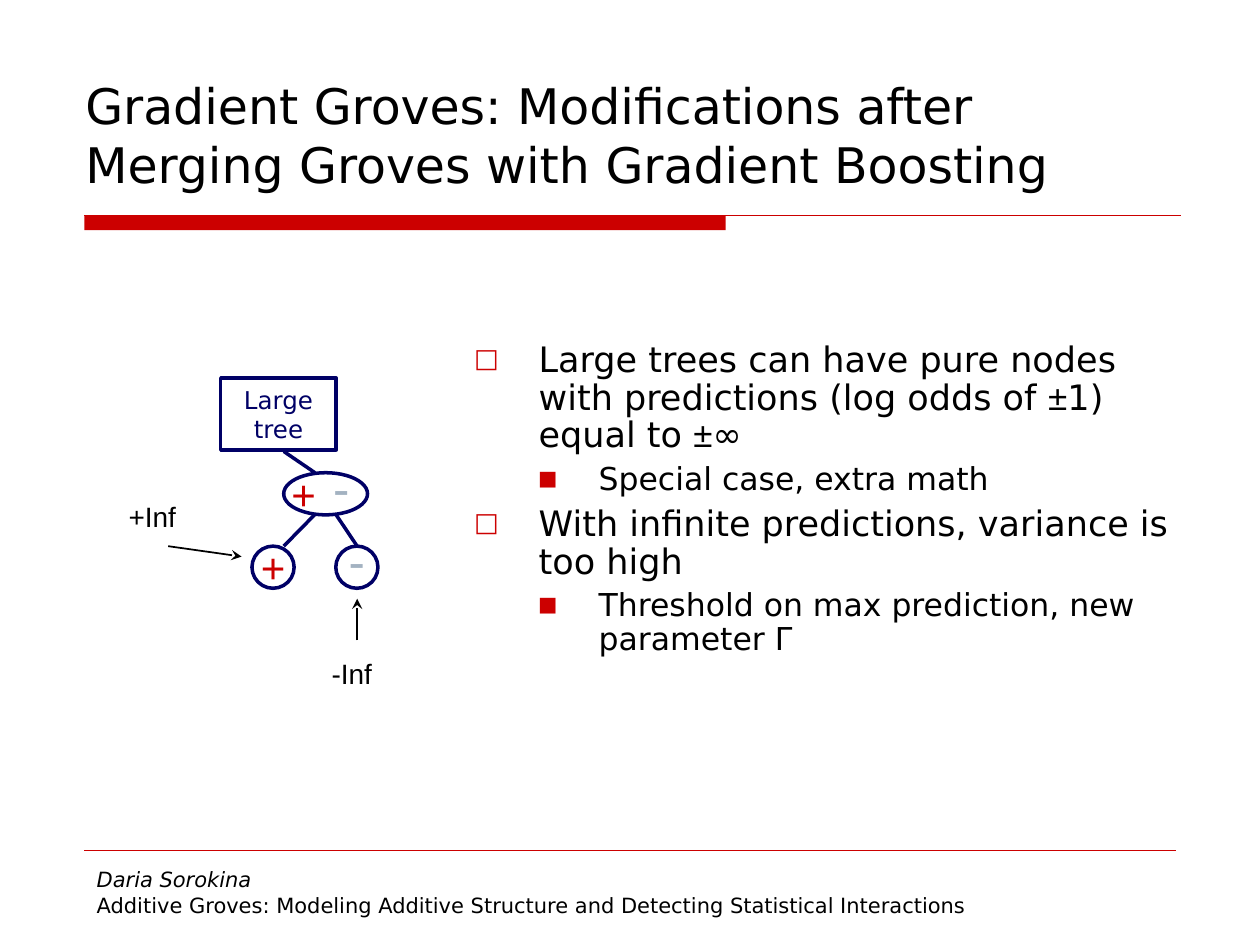
import pptx
import pptx.util
import pptx.dml.color
import pptx.enum.shapes
import pptx.enum.text
import pptx.oxml.ns
from lxml import etree

Cm, Pt = pptx.util.Cm, pptx.util.Pt
RGBColor = pptx.dml.color.RGBColor
SHAPE = pptx.enum.shapes.MSO_SHAPE
STRAIGHT = pptx.enum.shapes.MSO_CONNECTOR.STRAIGHT
ANCHOR = pptx.enum.text.MSO_ANCHOR
ALIGN = pptx.enum.text.PP_ALIGN
qn = pptx.oxml.ns.qn

RED = RGBColor(0xCC, 0x00, 0x00)
NAVY = RGBColor(0x00, 0x00, 0x66)
GRAY = RGBColor(0xA3, 0xB2, 0xC1)
BLACK = RGBColor(0x00, 0x00, 0x00)
WHITE = RGBColor(0xFF, 0xFF, 0xFF)
SANS, ARIAL = "DejaVu Sans", "Arial"

TITLE = "Gradient Groves: Modifications after Merging Groves with Gradient Boosting"
AUTHOR = "Daria Sorokina"
TALK = "Additive Groves: Modeling Additive Structure and Detecting Statistical Interactions"

POINTS = [
    (0, [("Large trees can have pure nodes with predictions (log odds of ", SANS),
         ("±", ARIAL), ("1) equal to ", SANS), ("±", ARIAL), ("∞", SANS)]),
    (1, [("Special case, extra math", SANS)]),
    (0, [("With infinite predictions, variance is too high", SANS)]),
    (1, [("Threshold on max prediction, new parameter Γ", SANS)]),
]
LEVELS = [
    {"bullet": "□", "bullet_size": 75, "margin": 1.3, "hang": 1.3, "size": 20, "before": 5},
    {"bullet": "■", "bullet_size": 65, "margin": 2.51, "hang": 1.22, "size": 18, "before": 4.5},
]

BRANCHES = [
    ((5.72, 9.1), (6.35, 9.53)),
    ((6.35, 10.37), (5.72, 11.01)),
    ((6.77, 10.37), (7.2, 11.01)),
]
NODES = [(5.72, 9.53, 1.69, 0.85), (5.08, 11.01, 0.85, 0.85), (6.77, 11.01, 0.85, 0.85)]
LABELS = [
    ("+", (4.87, 10.8, 1.27, 1.27), 24, RED),
    ("+ ", (5.5, 9.31, 1.48, 1.27), 24, RED),
    ("-", (6.56, 10.58, 1.27, 1.45), 28, GRAY),
    ("-", (6.14, 9.1, 1.48, 1.45), 28, GRAY),
    ("+Inf", (1.48, 9.95, 3.18, 0.94), 16, BLACK),
    ("-Inf", (5.5, 13.12, 3.18, 0.94), 16, BLACK),
]
ARROWS = [((3.39, 11.01), (4.87, 11.22)), ((7.2, 12.91), (7.2, 12.07))]


def style(paragraph, size, color, font=SANS, align=ALIGN.LEFT):
    paragraph.alignment = align
    paragraph.font.size = Pt(size)
    paragraph.font.name = font
    paragraph.font.color.rgb = color


def add_text(slide, box, text, size, color=BLACK, font=SANS, align=ALIGN.LEFT,
             anchor=ANCHOR.TOP):
    frame = slide.shapes.add_textbox(*map(Cm, box)).text_frame
    frame.word_wrap = True
    frame.vertical_anchor = anchor
    for index, line in enumerate(text.split("\n")):
        paragraph = frame.add_paragraph() if index else frame.paragraphs[0]
        paragraph.text = line
        style(paragraph, size, color, font, align)
    return frame


def add_line(slide, start, end, color, width, arrow=False):
    line = slide.shapes.add_connector(STRAIGHT, *map(Cm, start + end))
    line.line.color.rgb = color
    line.line.width = Pt(width)
    if arrow:
        etree.SubElement(line.line._get_or_add_ln(), qn("a:tailEnd"), type="stealth")
    etree.SubElement(line._element.spPr, qn("a:effectLst"))


def add_outline(slide, kind, box, fill=None, border=NAVY):
    shape = slide.shapes.add_shape(kind, *map(Cm, box))
    shape.shadow.inherit = False
    if fill is None:
        shape.fill.background()
    else:
        shape.fill.solid()
        shape.fill.fore_color.rgb = fill
    if border is None:
        shape.line.fill.background()
    else:
        shape.line.color.rgb = border
        shape.line.width = Pt(2)
    return shape


def add_bullet(paragraph, level):
    properties = paragraph._p.get_or_add_pPr()
    properties.set("marL", str(Cm(level["margin"])))
    properties.set("indent", str(-Cm(level["hang"])))
    color = etree.SubElement(properties, qn("a:buClr"))
    etree.SubElement(color, qn("a:srgbClr"), val=str(RED))
    etree.SubElement(properties, qn("a:buSzPct"), val=str(level["bullet_size"] * 1000))
    etree.SubElement(properties, qn("a:buFont"), typeface=SANS)
    etree.SubElement(properties, qn("a:buChar"), char=level["bullet"])


def add_points(slide, box):
    frame = slide.shapes.add_textbox(*map(Cm, box)).text_frame
    frame.word_wrap = True
    for index, (depth, pieces) in enumerate(POINTS):
        level = LEVELS[depth]
        paragraph = frame.add_paragraph() if index else frame.paragraphs[0]
        paragraph.level = depth
        add_bullet(paragraph, level)
        paragraph.line_spacing = 0.9
        if index:
            paragraph.space_before = Pt(level["before"])
        style(paragraph, level["size"], BLACK)
        for text, font in pieces:
            run = paragraph.add_run()
            run.text = text
            if font != SANS:
                run.font.name = font


def add_tree(slide):
    for start, end in BRANCHES:
        add_line(slide, start, end, NAVY, 2)
    for box in NODES:
        add_outline(slide, SHAPE.OVAL, box, WHITE)
    root = add_outline(slide, SHAPE.RECTANGLE, (4.45, 7.62, 2.33, 1.45)).text_frame
    root.word_wrap = True
    root.paragraphs[0].text = "Large tree"
    style(root.paragraphs[0], 14, NAVY, align=ALIGN.CENTER)
    for text, box, size, color in LABELS:
        add_text(slide, box, text, size, color, ARIAL, ALIGN.CENTER)
    for start, end in ARROWS:
        add_line(slide, start, end, BLACK, 1, arrow=True)


def main():
    deck = pptx.Presentation()
    deck.slide_width, deck.slide_height = Cm(25.4), Cm(19.05)
    slide = deck.slides.add_slide(deck.slide_layouts[6])

    add_outline(slide, SHAPE.RECTANGLE, (1.7, 4.34, 12.93, 0.3), RED, None)
    add_line(slide, (1.7, 4.34), (23.8, 4.34), RED, 0.75)
    add_line(slide, (1.7, 17.15), (23.7, 17.15), RED, 0.25)
    footer = add_text(slide, (1.7, 17.35, 20.32, 1.32), AUTHOR + "\n" + TALK, 12)
    footer.paragraphs[0].font.italic = True
    add_text(slide, (1.47, 0.64, 22.22, 3.38), TITLE, 28, anchor=ANCHOR.BOTTOM)
    add_tree(slide)
    add_points(slide, (9.31, 6.77, 14.61, 7.83))
    deck.save("out.pptx")


if __name__ == "__main__":
    main()
